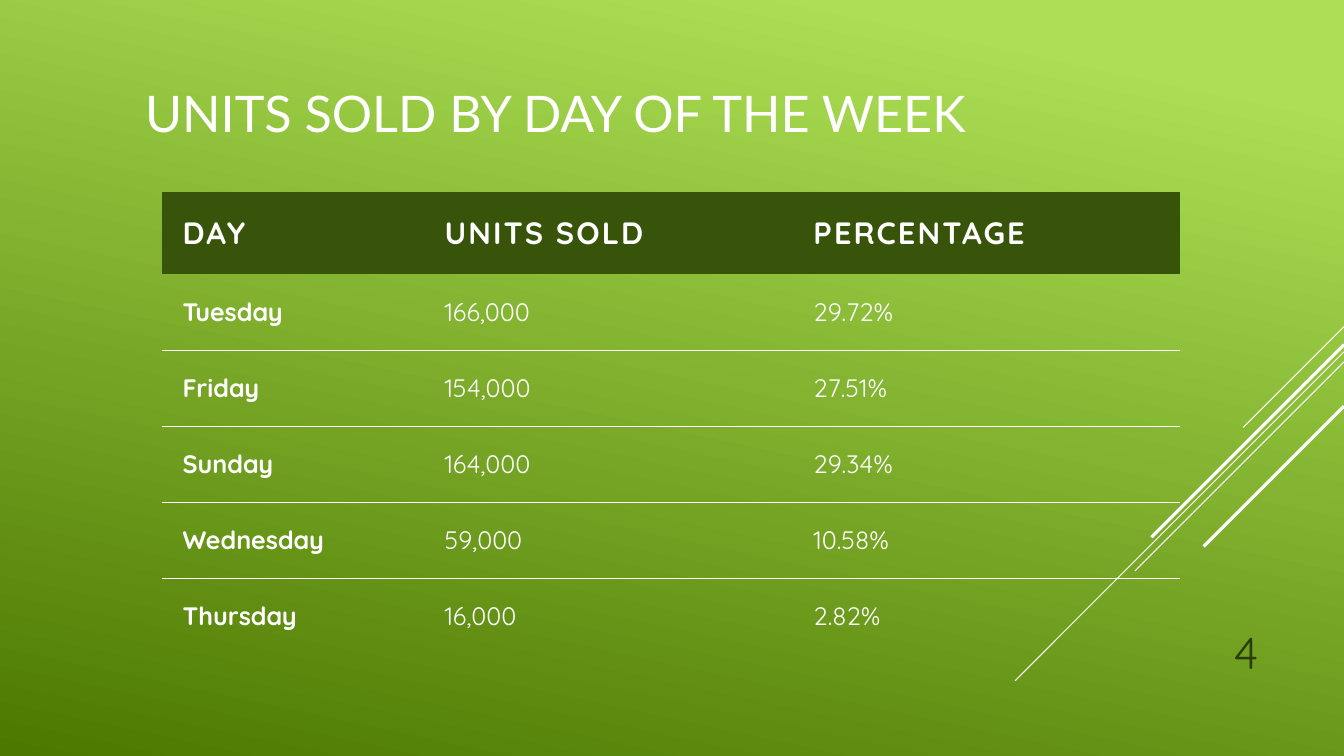
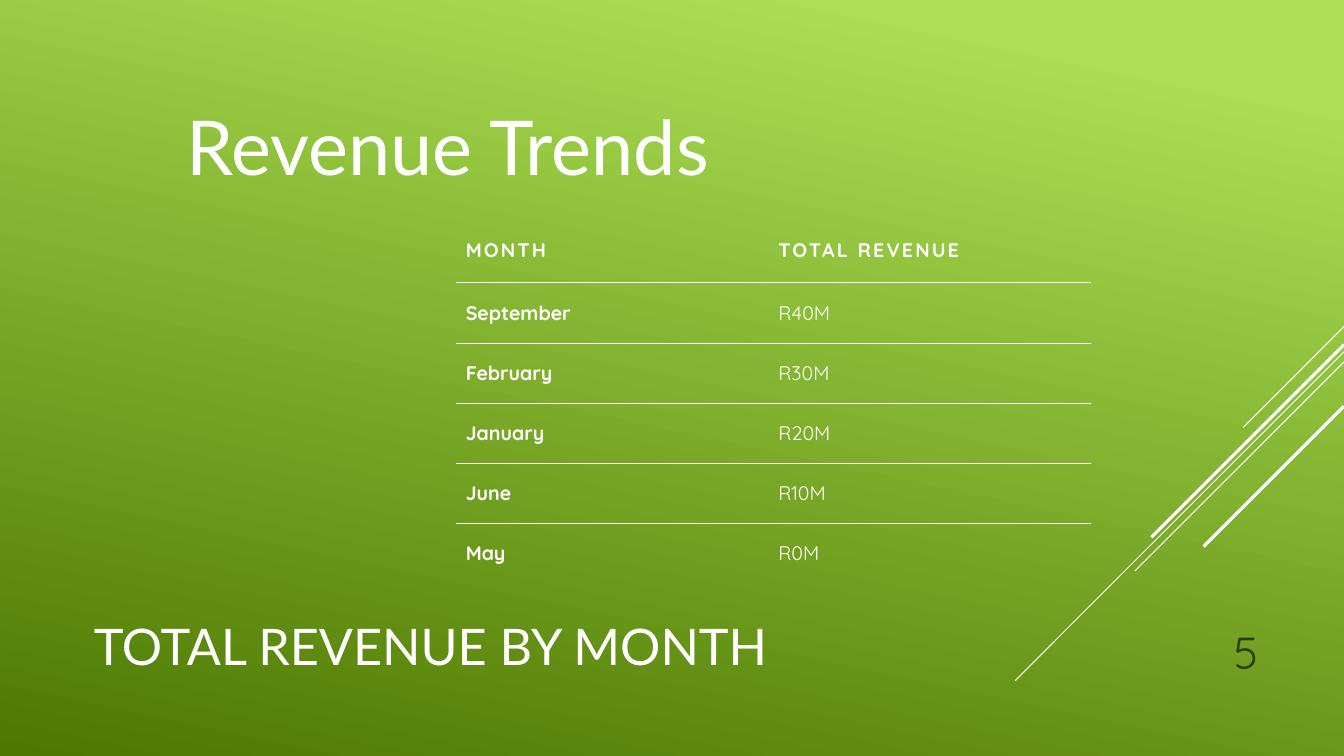
"""Build two sales table slides on a green gradient."""
from dataclasses import dataclass

from lxml import etree
from pptx import Presentation
from pptx.dml.color import RGBColor
from pptx.enum.shapes import MSO_CONNECTOR
from pptx.enum.text import MSO_ANCHOR, MSO_AUTO_SIZE, PP_ALIGN
from pptx.oxml.ns import qn
from pptx.util import Pt

LINE = MSO_CONNECTOR.STRAIGHT
MIDDLE, BOTTOM, TOP = MSO_ANCHOR.MIDDLE, MSO_ANCHOR.BOTTOM, MSO_ANCHOR.TOP
LEFT, RIGHT = PP_ALIGN.LEFT, PP_ALIGN.RIGHT
FIXED = MSO_AUTO_SIZE.NONE
WIDTH, HEIGHT = 960, 540
TITLE_ONLY = 5
PLAIN_GRID = "{2D5ABB26-0587-4C30-8999-92F81FD0307C}"
RAYS = [
    (233.3, 72, 0.75),
    (251.3, 234.9, 0.75),
    (258.5, 149.4, 0.75),
    (246.2, 137.6, 2.25),
    (290.2, 100.2, 2.25),
]
SALES = [
    ("DAY", "UNITS SOLD", "PERCENTAGE"),
    ("Tuesday", "166,000", "29.72%"),
    ("Friday", "154,000", "27.51%"),
    ("Sunday", "164,000", "29.34%"),
    ("Wednesday", "59,000", "10.58%"),
    ("Thursday", "16,000", "2.82%"),
]
REVENUE = [
    ("MONTH", "TOTAL REVENUE"),
    ("September", "R40M"),
    ("February", "R30M"),
    ("January", "R20M"),
    ("June", "R10M"),
    ("May", "R0M"),
]


@dataclass(frozen=True)
class Theme:
    """Colours, fonts and type sizes of the deck."""
    white: str = "FFFFFF"
    light: str = "ACDF55"
    deep: str = "4C7800"
    band: str = "38540A"
    dark: str = "293E06"
    head: str = "Lato"
    body: str = "Quicksand"
    title: int = 36
    hero: int = 54
    page: int = 32
    rule: float = 0.5
    track: float = 1.5


@dataclass(frozen=True)
class Grid:
    """Measures of one table."""
    left: float
    top: float
    cols: tuple
    first: float
    step: float
    inset: float
    sizes: tuple
    band: bool


THEME = Theme()
DAYS = Grid(116, 136.8, (187.2, 263.5, 276.5), 59.2, 54.3, 14.4, (22, 18), True)
MONTHS = Grid(325.5, 155, (223.2, 230.4), 47, 43, 7.2, (14, 14), False)


def rgb(code):
    """Turn a hex code into a colour."""
    return RGBColor.from_string(code)


def style(para, face, size, color, bold=False):
    """Format the runs of a paragraph."""
    for run in para.runs:
        font = run.font
        font.name, font.size, font.bold = face, Pt(size), bold
        font.color.rgb = rgb(color)


def paint(master):
    """Give the master its gradient background."""
    fill = master.background.fill
    fill.gradient()
    fill.gradient_angle = 258
    stops = zip(fill.gradient_stops, ((0.1, THEME.light), (1, THEME.deep)))
    for stop, (place, color) in stops:
        stop.position = place
        stop.color.rgb = rgb(color)


def add_rays(slide):
    """Draw the diagonal lines that run in from the right edge."""
    for top, run, weight in RAYS:
        ray = slide.shapes.add_connector(
            LINE, Pt(WIDTH), Pt(top), Pt(WIDTH - run), Pt(top + run))
        ray.line.color.rgb = rgb(THEME.white)
        ray.line.width = Pt(weight)
        etree.SubElement(ray._element.spPr, qn("a:effectLst"))


def set_title(slide, text, left, top, width, height):
    """Place and format the title."""
    title = slide.shapes.title
    title.left, title.top = Pt(left), Pt(top)
    title.width, title.height = Pt(width), Pt(height)
    frame = title.text_frame
    frame.text = text
    frame.auto_size = FIXED
    frame.vertical_anchor = BOTTOM
    para = frame.paragraphs[0]
    para.alignment = LEFT
    style(para, THEME.head, THEME.title, THEME.white)


def add_text(slide, text, area, face, size, color, align=LEFT, anchor=TOP):
    """Add a one-line text box."""
    box = slide.shapes.add_textbox(*map(Pt, area))
    frame = box.text_frame
    frame.word_wrap = True
    frame.vertical_anchor = anchor
    frame.text = text
    para = frame.paragraphs[0]
    para.alignment = align
    style(para, face, size, color)
    return para


def add_page(slide, number):
    """Add the page number."""
    para = add_text(slide, str(number), (816, 439.2, 90, 52.5), THEME.body,
                    THEME.page, THEME.dark, RIGHT, MIDDLE)
    para.space_after = Pt(6)


def add_rule(cell):
    """Draw the bottom border of a cell."""
    props = cell._tc.get_or_add_tcPr()
    edge = etree.Element(qn("a:lnB"), w=str(Pt(THEME.rule)))
    fill = etree.SubElement(edge, qn("a:solidFill"))
    etree.SubElement(fill, qn("a:srgbClr"), val=THEME.white)
    props.insert(0, edge)


def fill_cell(cell, text, grid, header, bold):
    """Write and format one cell."""
    cell.text = text
    cell.vertical_anchor = MIDDLE
    cell.margin_left = cell.margin_right = Pt(grid.inset)
    cell.margin_top = cell.margin_bottom = Pt(grid.inset)
    if header and grid.band:
        cell.fill.solid()
        cell.fill.fore_color.rgb = rgb(THEME.band)
    else:
        cell.fill.background()
    para = cell.text_frame.paragraphs[0]
    size = grid.sizes[0 if header else 1]
    style(para, THEME.body, size, THEME.white, bold)
    if header:
        track = str(round(THEME.track * 100))
        para.runs[0].font._element.set("spc", track)


def add_grid(slide, rows, grid):
    """Add a table with thin rules between its rows."""
    last = len(rows) - 1
    tall = grid.first + grid.step * last
    frame = slide.shapes.add_table(
        len(rows), len(grid.cols), Pt(grid.left), Pt(grid.top),
        Pt(sum(grid.cols)), Pt(tall))
    table = frame.table
    table.horz_banding = False
    table._tbl.tblPr.find(qn("a:tableStyleId")).text = PLAIN_GRID
    for col, wide in zip(table.columns, grid.cols):
        col.width = Pt(wide)
    for i, row in enumerate(rows):
        header = i == 0
        table.rows[i].height = Pt(grid.first if header else grid.step)
        for j, text in enumerate(row):
            cell = table.cell(i, j)
            fill_cell(cell, text, grid, header, header or j == 0)
            if i < last and not (header and grid.band):
                add_rule(cell)


def add_slide(deck, title, area, rows, grid, number):
    """Add a slide with a title, a table and a page number."""
    slide = deck.slides.add_slide(deck.slide_layouts[TITLE_ONLY])
    set_title(slide, title, *area)
    add_rays(slide)
    add_grid(slide, rows, grid)
    add_page(slide, number)
    return slide


def main():
    """Build and save the deck."""
    deck = Presentation()
    deck.slide_width, deck.slide_height = Pt(WIDTH), Pt(HEIGHT)
    paint(deck.slide_master)
    add_slide(deck, "UNITS SOLD BY DAY OF THE WEEK",
              (96.5, 40.3, 851.8, 65.5), SALES, DAYS, 4)
    slide = add_slide(deck, "TOTAL REVENUE BY MONTH",
                      (59.8, 433.4, 671.8, 52.6), REVENUE, MONTHS, 5)
    add_text(slide, "Revenue Trends", (126, 67.7, 481, 72.7),
             THEME.head, THEME.hero, THEME.white)
    deck.save("out.pptx")


if __name__ == "__main__":
    main()
